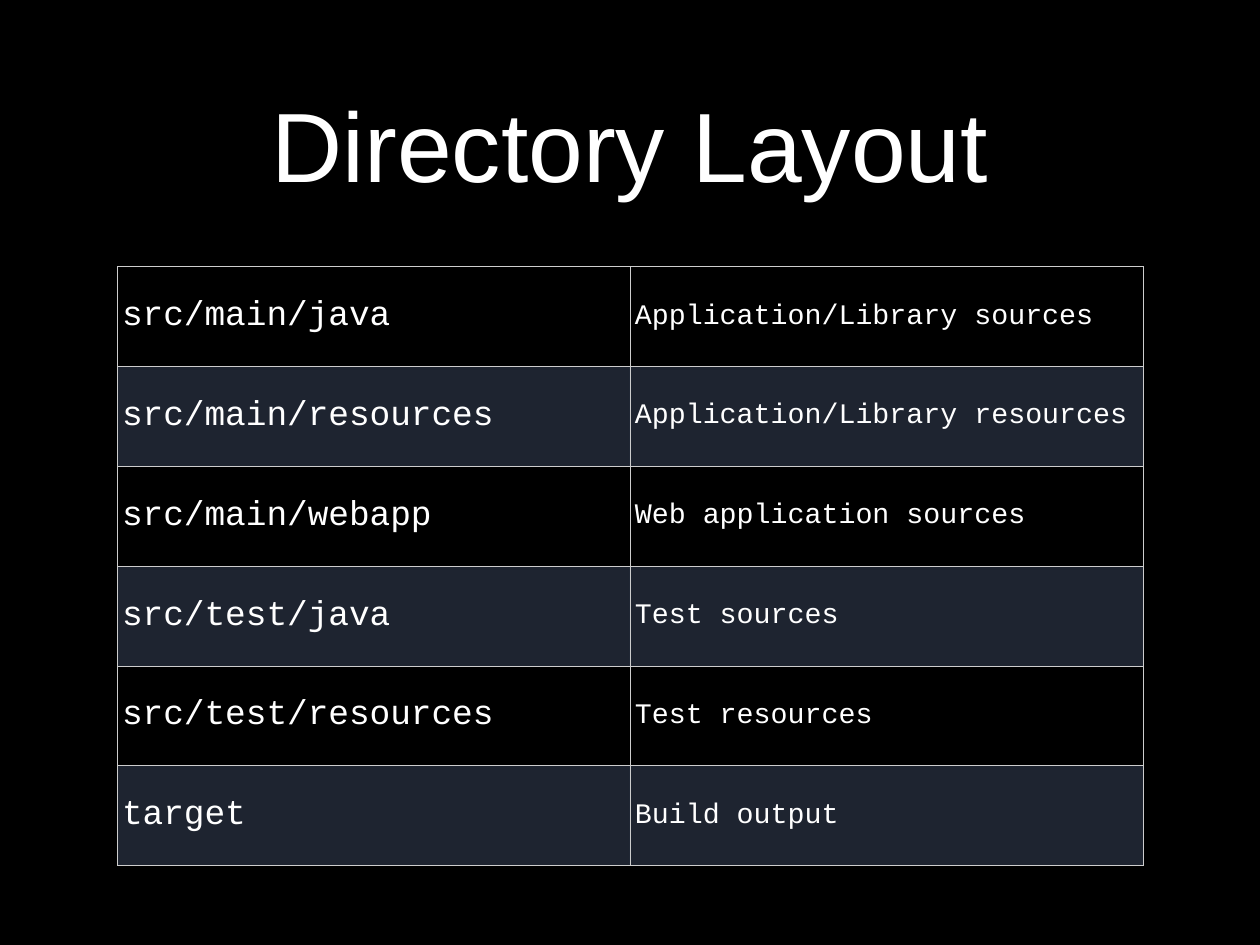
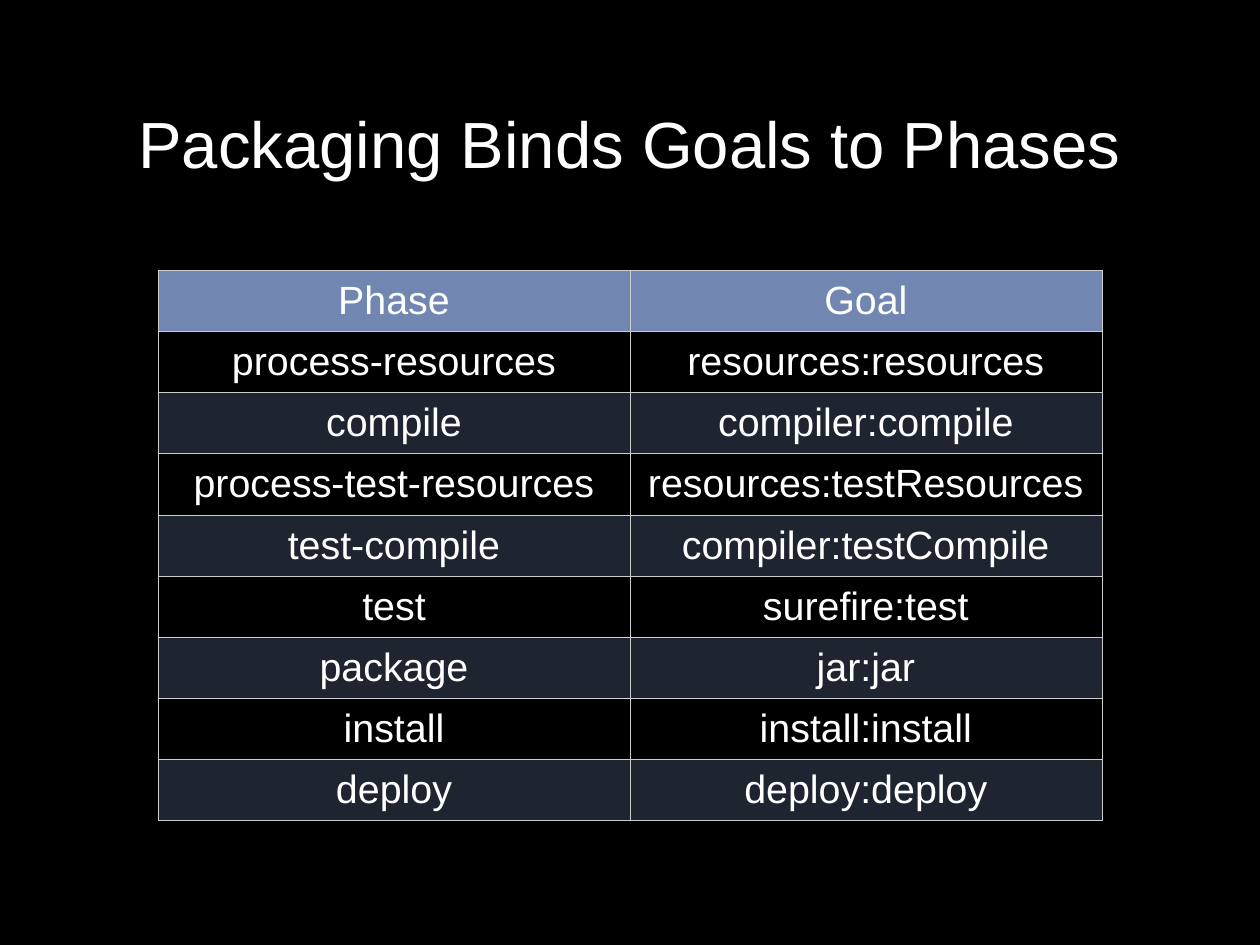
from dataclasses import dataclass
from typing import Optional

from lxml.etree import SubElement
from pptx import Presentation
from pptx.dml.color import RGBColor
from pptx.enum.text import MSO_ANCHOR as Anchor, MSO_AUTO_SIZE as AutoSize, PP_ALIGN as Align
from pptx.oxml.ns import qn
from pptx.util import Pt

# Shared look
BLACK, WHITE = "000000", "FFFFFF"
HEADER, BAND, GRID = "7186B0", "7B93C0", "CDCDCD"
BAND_OPACITY = 25
GRID_WIDTH = 0.45
SANS, MONO = "Arial", "Courier New"
SLIDE_W, SLIDE_H = 1024, 768
TITLE_BOX = (100, 20, 824, 192)


@dataclass(frozen=True)
class TableSlide:
    title: str
    title_size: float
    top: float
    col_width: float
    row_height: float
    font: str
    sizes: tuple[float, float]
    align: Align
    rows: list[tuple[str, str]]
    has_header: bool = False


SLIDES = [
    TableSlide(
        "Directory Layout", 80, 216.7, 416.8, 81.1, MONO, (28, 23), Align.LEFT,
        [
            ("src/main/java", "Application/Library sources"),
            ("src/main/resources", "Application/Library resources"),
            ("src/main/webapp", "Web application sources"),
            ("src/test/java", "Test sources"),
            ("src/test/resources", "Test resources"),
            ("target", "Build output"),
        ],
    ),
    TableSlide(
        "Packaging Binds Goals to Phases", 53, 219.6, 383.5, 49.7, SANS, (32, 32), Align.CENTER,
        [
            ("Phase", "Goal"),
            ("process-resources", "resources:resources"),
            ("compile", "compiler:compile"),
            ("process-test-resources", "resources:testResources"),
            ("test-compile", "compiler:testCompile"),
            ("test", "surefire:test"),
            ("package", "jar:jar"),
            ("install", "install:install"),
            ("deploy", "deploy:deploy"),
        ],
        has_header=True,
    ),
]


def rgb(value: str) -> RGBColor:
    return RGBColor.from_string(value)


def put_text(tf, text: str, *, size: float, font: str = SANS,
             color: str = WHITE, align: Align = Align.CENTER) -> None:
    p = tf.paragraphs[0]
    p.alignment = align
    r = p.add_run()
    r.text = text
    r.font.size = Pt(size)
    r.font.name = font
    r.font.bold = False
    r.font.color.rgb = rgb(color)


def set_margins(box, inset: float) -> None:
    """Set the insets of a text frame or a table cell."""
    box.margin_left = box.margin_right = Pt(inset)
    box.margin_top = box.margin_bottom = Pt(inset)


def set_borders(cell) -> None:
    props = cell._tc.get_or_add_tcPr()
    for tag in ("a:lnL", "a:lnR", "a:lnT", "a:lnB"):
        line = SubElement(props, qn(tag), w=str(Pt(GRID_WIDTH)))
        SubElement(SubElement(line, qn("a:solidFill")), qn("a:srgbClr"), val=GRID)


def fill_cell(cell, color: Optional[str], opacity: int = 100) -> None:
    if color is None:
        cell.fill.background()
        return
    cell.fill.solid()
    cell.fill.fore_color.rgb = rgb(color)
    if opacity < 100:
        clr = cell._tc.tcPr.find(f"{qn('a:solidFill')}/{qn('a:srgbClr')}")
        SubElement(clr, qn("a:alpha"), val=str(opacity * 1000))


def add_title(s, text: str, size: float) -> None:
    sp = s.shapes.title
    sp.left, sp.top, sp.width, sp.height = map(Pt, TITLE_BOX)
    tf = sp.text_frame
    tf.word_wrap = True
    tf.auto_size = AutoSize.NONE
    tf.vertical_anchor = Anchor.MIDDLE
    set_margins(tf, 4)
    put_text(tf, text, size=size)


def add_grid(s, item: TableSlide) -> None:
    n_rows, n_cols = len(item.rows), len(item.sizes)
    width = item.col_width * n_cols
    table = s.shapes.add_table(
        n_rows, n_cols, Pt((SLIDE_W - width) / 2), Pt(item.top),
        Pt(width), Pt(item.row_height * n_rows)).table
    table.first_row = item.has_header
    table.horz_banding = False
    for col in table.columns:
        col.width = Pt(item.col_width)
    for i, texts in enumerate(item.rows):
        table.rows[i].height = Pt(item.row_height)
        for j, (text, size) in enumerate(zip(texts, item.sizes)):
            cell = table.cell(i, j)
            cell.vertical_anchor = Anchor.MIDDLE
            set_margins(cell, 4)
            set_borders(cell)
            # The header is solid; below it every second row is tinted
            if item.has_header and i == 0:
                fill_cell(cell, HEADER)
            elif (i - item.has_header) % 2:
                fill_cell(cell, BAND, BAND_OPACITY)
            else:
                fill_cell(cell, None)
            put_text(cell.text_frame, text, size=size, font=item.font, align=item.align)


def main() -> None:
    prs = Presentation()
    prs.slide_width, prs.slide_height = Pt(SLIDE_W), Pt(SLIDE_H)
    # Black background for every slide
    background = prs.slide_master.background.fill
    background.solid()
    background.fore_color.rgb = rgb(BLACK)
    title_only = prs.slide_layouts.get_by_name("Title Only")
    for item in SLIDES:
        s = prs.slides.add_slide(title_only)
        add_title(s, item.title, item.title_size)
        add_grid(s, item)
    prs.save("out.pptx")


if __name__ == "__main__":
    main()
